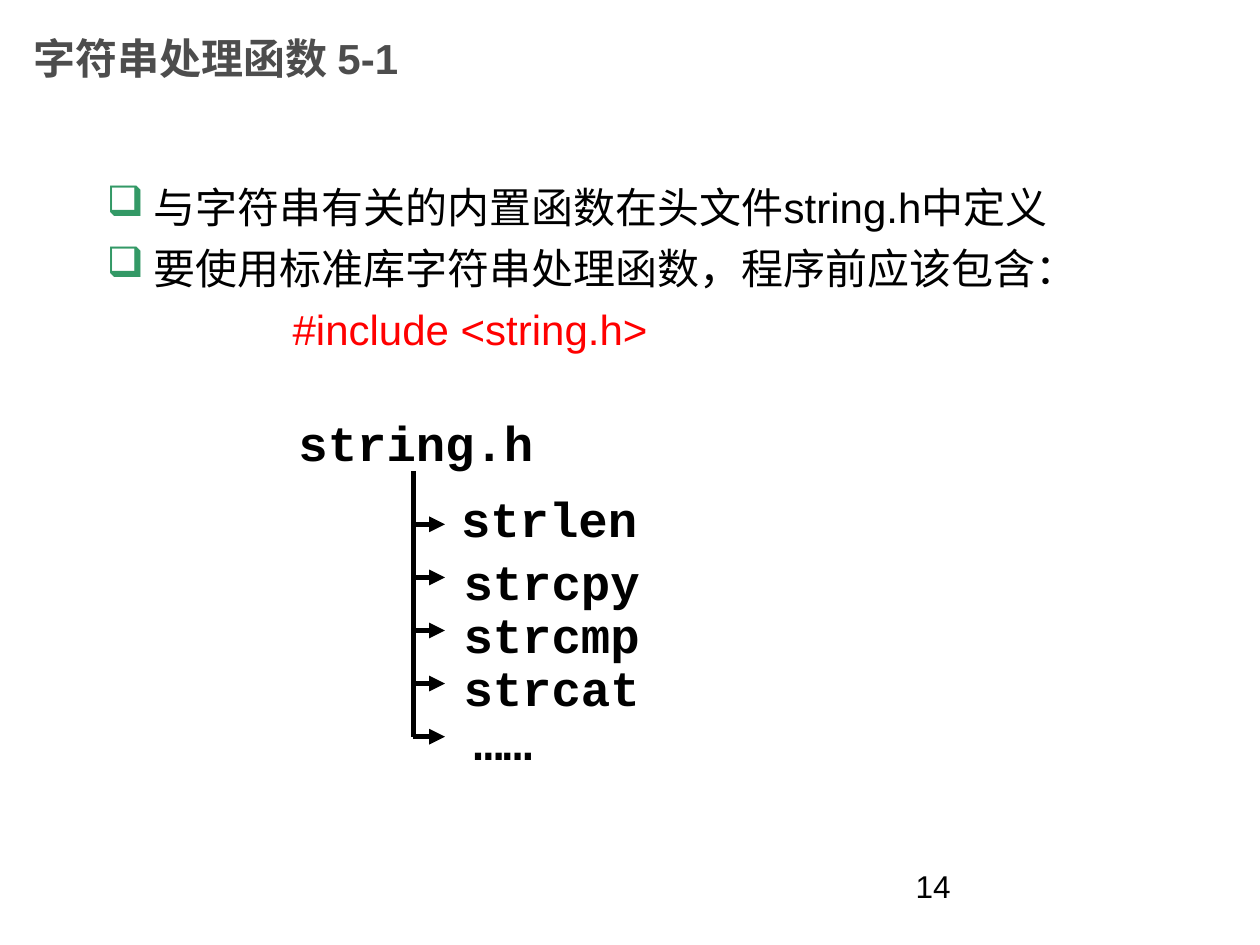
from lxml.etree import SubElement
from pptx import Presentation
from pptx.dml.color import RGBColor
from pptx.enum.shapes import MSO_CONNECTOR
from pptx.enum.text import MSO_ANCHOR, MSO_AUTO_SIZE, PP_ALIGN
from pptx.oxml.ns import qn
from pptx.util import Cm, Pt

BLACK = RGBColor(0, 0, 0)
GREY = RGBColor(0x4D, 0x4D, 0x4D)
RED = RGBColor(0xFF, 0, 0)
GREEN = RGBColor(0x33, 0x99, 0x66)

# Content
TITLE = "字符串处理函数 5-1"
# text, colour, bullet, left margin, first-line indent (cm)
LINES = [
    ("与字符串有关的内置函数在头文件string.h中定义", BLACK, "❑", 0.95, -0.95),
    ("要使用标准库字符串处理函数，程序前应该包含：", BLACK, "❑", 0.95, -0.95),
    ("#include <string.h>", RED, None, 3.75, 0),
]
ROOT = "string.h"
# name, left, rise above its arrow, width (cm)
NAMES = [
    ("strlen", 9.04, 0.84, 4.06),
    ("strcpy", 9.09, 0.64, 4.06),
    ("strcmp", 9.09, 0.64, 4.06),
    ("strcat", 9.09, 0.64, 4.06),
    ("……", 9.2, 0.64, 1.88),
]
PAGE = "14"

# Tree geometry (cm)
STEM, TOP, STEP, ARM = 8.33, 9.5, 1.07, 0.64


def style(para, size, color=BLACK, face="Arial", bold=False):
    font = para.font
    font.name, font.size, font.bold = face, Pt(size), bold
    font.color.rgb = color


def add_box(left, top, width, height):
    box = slide.shapes.add_textbox(Cm(left), Cm(top), Cm(width), Cm(height))
    box.text_frame.word_wrap = True
    return box.text_frame


def add_label(text, left, top, width):
    frame = add_box(left, top, width, 1.44)
    frame.word_wrap = False
    frame.auto_size = MSO_AUTO_SIZE.SHAPE_TO_FIT_TEXT
    para = frame.paragraphs[0]
    para.text = text
    para.alignment = PP_ALIGN.CENTER
    style(para, 28, face="Courier New", bold=True)


def add_line(x1, y1, x2, y2, arrow=False):
    line = slide.shapes.add_connector(
        MSO_CONNECTOR.STRAIGHT, Cm(x1), Cm(y1), Cm(x2), Cm(y2))
    line.line.color.rgb = BLACK
    line.line.width = Pt(3)
    props = line._element.spPr
    if arrow:
        SubElement(props.find(qn("a:ln")), qn("a:tailEnd"), type="triangle")
    SubElement(props, qn("a:effectLst"))


def set_indent(para, mark, left, first):
    props = para._p.get_or_add_pPr()
    props.set("marL", str(Cm(left)))
    props.set("indent", str(Cm(first)))
    if mark:
        tint = SubElement(props, qn("a:buClr"))
        SubElement(tint, qn("a:srgbClr"), val=str(GREEN))
        SubElement(props, qn("a:buChar"), char=mark)


deck = Presentation()
deck.slide_width, deck.slide_height = Cm(25.4), Cm(19.05)
slide = deck.slides.add_slide(deck.slide_layouts[5])

# Title
title = slide.shapes.title
title.left, title.top, title.width, title.height = Cm(0.43), Cm(0), Cm(19.05), Cm(2.34)
title.text_frame.vertical_anchor = MSO_ANCHOR.MIDDLE
head = title.text_frame.paragraphs[0]
head.text = TITLE
head.alignment = PP_ALIGN.LEFT
style(head, 24, GREY, bold=True)

# Bullets
body = add_box(1.9, 3.53, 21.59, 4.19)
for i, (text, color, mark, left, first) in enumerate(LINES):
    para = body.add_paragraph() if i else body.paragraphs[0]
    para.text = text
    set_indent(para, mark, left, first)
    if i:
        para.space_before = Pt(6)
    style(para, 24, color)

# Function tree
add_label(ROOT, 5.67, 8.2, 5.43)
for i, (name, left, rise, width) in enumerate(NAMES):
    start = TOP + i * STEP
    end = start + STEP
    add_line(STEM, start, STEM, end)
    add_line(STEM, end, STEM + ARM, end, arrow=True)
    add_label(name, left, end - rise, width)

# Page number
foot = add_box(18.21, 17.35, 5.92, 1.32).paragraphs[0]
foot.text = PAGE
style(foot, 18)

deck.save("out.pptx")
